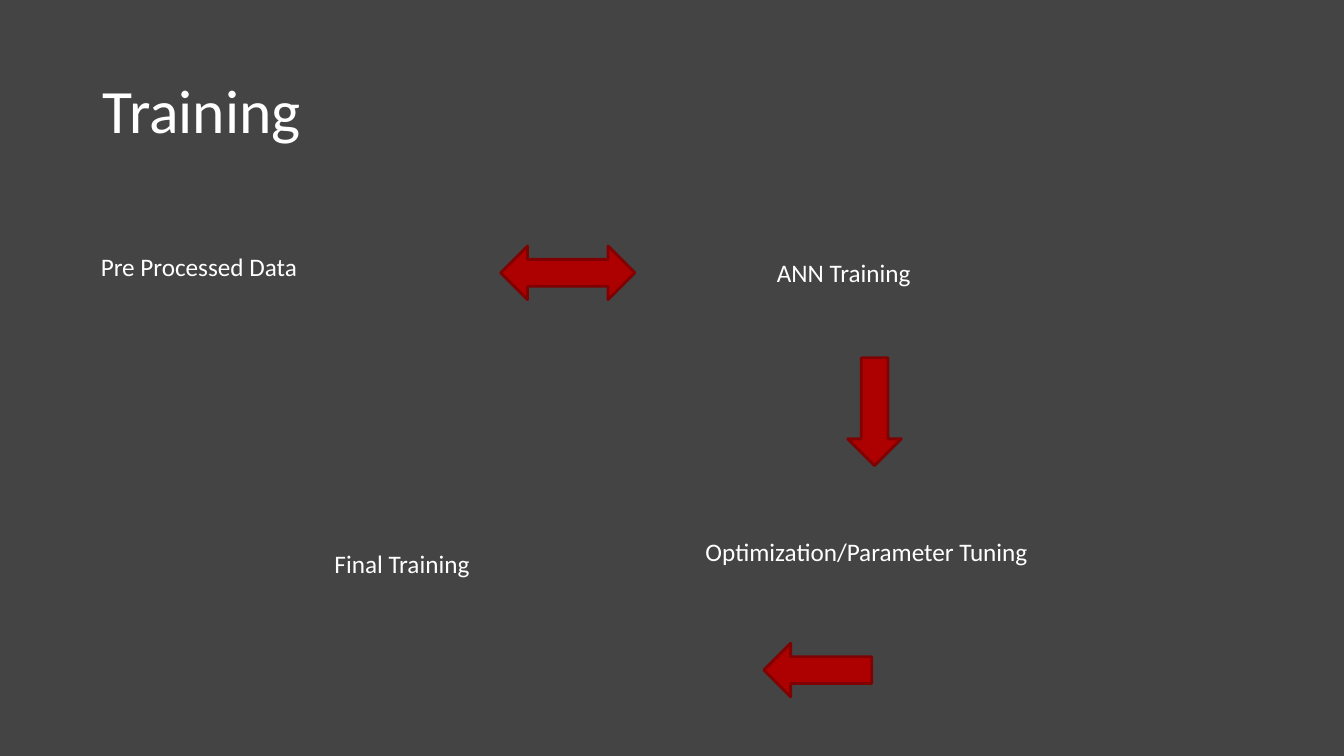
from pptx import Presentation
from pptx.dml.color import RGBColor
from pptx.enum.shapes import MSO_SHAPE as Shape
from pptx.enum.text import MSO_ANCHOR as Anchor, MSO_AUTO_SIZE as AutoSize, PP_ALIGN as Align
from pptx.util import Cm, Pt

BACKGROUND, WHITE, RED, DARK_RED = "444444", "FFFFFF", "AD0101", "800101"
LABEL_HEIGHT, ARROW_HEIGHT = 1.02, 1.35

# text, left, top, width in centimetres
STAGES = [
    ("Pre Processed Data", 2.29, 6.2, 6.63),
    ("ANN Training", 19.33, 6.35, 4.6),
    ("Optimization/Parameter Tuning", 17.53, 13.39, 10.36),
    ("Final Training", 8.18, 13.69, 4.67),
]
# preset, left, top, width in centimetres, rotation in degrees
ARROWS = [
    (Shape.LEFT_RIGHT_ARROW, 12.62, 6.2, 3.38, 0),
    (Shape.RIGHT_ARROW, 20.68, 9.7, 2.72, 90),
    (Shape.RIGHT_ARROW, 19.25, 16.21, 2.72, 180),
]


def color(value):
    return RGBColor.from_string(value)


def write(frame, text, size=18, fill=WHITE, anchor=Anchor.TOP, spacing=1.0):
    frame.word_wrap = True
    frame.auto_size = AutoSize.NONE
    frame.vertical_anchor = anchor
    para = frame.paragraphs[0]
    para.alignment = Align.LEFT
    para.line_spacing = spacing
    span = para.add_run()
    span.text = text
    span.font.name = "Calibri"
    span.font.size = Pt(size)
    span.font.color.rgb = color(fill)


def add_title(page, text, left, top, width, height):
    title = page.shapes.title
    title.left, title.top, title.width, title.height = map(Cm, (left, top, width, height))
    write(title.text_frame, text, size=44, anchor=Anchor.MIDDLE, spacing=0.9)


def add_stage(page, text, left, top, width):
    box = page.shapes.add_textbox(Cm(left), Cm(top), Cm(width), Cm(LABEL_HEIGHT))
    write(box.text_frame, text)


def add_arrow(page, preset, left, top, width, rotation):
    arrow = page.shapes.add_shape(preset, Cm(left), Cm(top), Cm(width), Cm(ARROW_HEIGHT))
    arrow.rotation = rotation
    arrow.shadow.inherit = False
    arrow.fill.solid()
    arrow.fill.fore_color.rgb = color(RED)
    arrow.line.color.rgb = color(DARK_RED)
    arrow.line.width = Pt(2)


def add_training_page(deck):
    page = deck.slides.add_slide(deck.slide_layouts.get_by_name("Title Only"))
    page.background.fill.solid()
    page.background.fill.fore_color.rgb = color(BACKGROUND)
    add_title(page, "Training", 2.34, 1.02, 29.21, 3.68)
    for stage in STAGES:
        add_stage(page, *stage)
    for arrow in ARROWS:
        add_arrow(page, *arrow)


def main():
    deck = Presentation()
    deck.slide_width, deck.slide_height = Cm(33.87), Cm(19.05)
    add_training_page(deck)
    deck.save("out.pptx")


if __name__ == "__main__":
    main()
